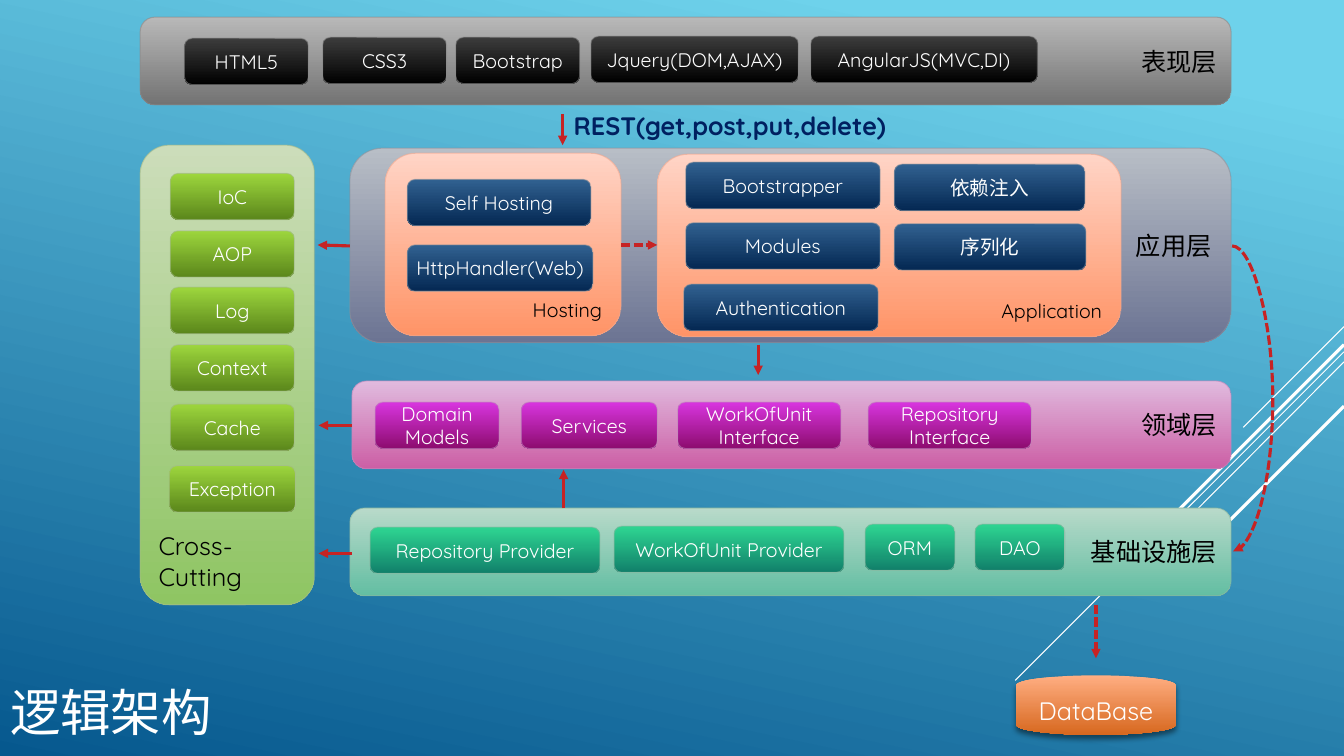
from dataclasses import dataclass
from typing import NamedTuple

from lxml.etree import SubElement
from pptx import Presentation
from pptx.dml.color import RGBColor
from pptx.enum.dml import MSO_LINE
from pptx.enum.shapes import MSO_CONNECTOR, MSO_SHAPE
from pptx.enum.text import MSO_ANCHOR, MSO_AUTO_SIZE, PP_ALIGN
from pptx.oxml.ns import qn
from pptx.util import Inches, Pt


class Tone(NamedTuple):
    top: str
    bottom: str
    edge: str = ""


@dataclass(frozen=True)
class Theme:
    font: str = "Quicksand"
    title: int = 36
    label: int = 18
    chip: int = 14
    thin: float = 0.75
    thick: float = 2.25
    white: str = "FFFFFF"
    black: str = "000000"
    navy: str = "002060"
    arrow: str = "C62324"
    sky: Tone = Tone("6ED2EB", "06588E")
    gray: Tone = Tone("B8B8B8", "737373", "898989")
    ink: Tone = Tone("3C3C3C", "000000", "898989")
    slate: Tone = Tone("B8BEC6", "6C7493", "89919C")
    blue: Tone = Tone("316190", "042853", "89919C")
    pink: Tone = Tone("E0BADE", "CC5FA5", "C089BD")
    magenta: Tone = Tone("D835DF", "8D0C6F", "C089BD")
    mint: Tone = Tone("B9DACA", "63BEA2", "8AB7A1")
    teal: Tone = Tone("2ED592", "11806A", "8AB7A1")
    sage: Tone = Tone("CCDDBA", "8FC563", "A4BB8B")
    lime: Tone = Tone("9DD63D", "5B871B", "A4BB8B")
    peach: Tone = Tone("FFD4C6", "FF9467", "EEA78F")
    orange: Tone = Tone("FFAE82", "D7681F")


T = Theme()
CHIP_HEIGHT = 0.46
CHIP_MARGINS = {"margin_left": Inches(0.04), "margin_right": Inches(0.04)}


class Box(NamedTuple):
    x: float
    y: float
    w: float
    h: float


class Chip(NamedTuple):
    text: str
    x: float
    y: float
    w: float = 1.23


class Panel(NamedTuple):
    text: str
    box: Box
    tone: Tone
    chip_tone: Tone
    chips: tuple[Chip, ...]
    size: int = T.label
    align: PP_ALIGN = PP_ALIGN.RIGHT
    anchor: MSO_ANCHOR = MSO_ANCHOR.MIDDLE


class Link(NamedTuple):
    x1: float
    y1: float
    x2: float
    y2: float
    dashed: bool = False
    bend: int = 0


class Ray(NamedTuple):
    x1: float
    y1: float
    x2: float
    y2: float
    width: float = T.thin


BANDS = (
    Panel("表现层", Box(1.39, 0.17, 10.82, 0.87), T.gray, T.ink, (
        Chip("HTML5", 1.83, 0.38), Chip("CSS3", 3.2, 0.37), Chip("Bootstrap", 4.52, 0.37),
        Chip("Jquery(DOM,AJAX)", 5.86, 0.36, 2.06), Chip("AngularJS(MVC,DI)", 8.04, 0.36, 2.25))),
    Panel("应用层", Box(3.47, 1.47, 8.74, 1.93), T.slate, T.blue, ()),
    Panel("领域层", Box(3.49, 3.78, 8.72, 0.87), T.pink, T.magenta, (
        Chip("Domain Models", 3.72, 3.99), Chip("Services", 5.17, 3.99, 1.35),
        Chip("WorkOfUnit Interface", 6.72, 3.99, 1.62),
        Chip("Repository Interface", 8.61, 3.99, 1.62))),
    Panel("基础设施层", Box(3.47, 5.04, 8.74, 0.87), T.mint, T.teal, (
        Chip("Repository Provider", 3.67, 5.23, 2.28), Chip("WorkOfUnit Provider", 6.09, 5.22, 2.28),
        Chip("ORM", 8.58, 5.2, 0.89), Chip("DAO", 9.67, 5.2, 0.89))),
    Panel("Cross-Cutting", Box(1.39, 1.44, 1.73, 4.56), T.sage, T.lime, (
        Chip("IoC", 1.69, 1.72), Chip("AOP", 1.69, 2.29), Chip("Log", 1.69, 2.85),
        Chip("Context", 1.69, 3.42), Chip("Cache", 1.69, 4.01), Chip("Exception", 1.68, 4.62, 1.25)),
        align=PP_ALIGN.LEFT, anchor=MSO_ANCHOR.BOTTOM),
)
MODULES = (
    Panel("Hosting", Box(3.82, 1.52, 2.34, 1.81), T.peach, T.blue, (
        Chip("Self Hosting", 4.04, 1.78, 1.82), Chip("HttpHandler(Web)", 4.04, 2.43, 1.84)),
        size=T.chip, anchor=MSO_ANCHOR.BOTTOM),
    Panel("Application", Box(6.52, 1.53, 4.6, 1.81), T.peach, T.blue, (
        Chip("Bootstrapper", 6.8, 1.61, 1.93), Chip("Modules", 6.8, 2.21, 1.93),
        Chip("Authentication", 6.78, 2.82, 1.93), Chip("依赖注入", 8.87, 1.63, 1.89),
        Chip("序列化", 8.87, 2.22, 1.9)),
        size=T.chip, anchor=MSO_ANCHOR.BOTTOM),
)
LINKS = (
    Link(5.58, 1.13, 5.58, 1.44), Link(7.52, 3.42, 7.52, 3.72), Link(5.59, 5.04, 5.59, 4.66),
    Link(3.47, 2.44, 3.15, 2.43), Link(3.49, 4.22, 3.16, 4.22), Link(3.49, 5.49, 3.16, 5.49),
    Link(6.16, 2.43, 6.52, 2.43, True), Link(10.87, 6, 10.87, 6.53, True),
    Link(12.22, 2.44, 12.23, 5.47, True, 4100000),
)
RAYS = (
    Ray(13.33, 3.24, 12.33, 4.24), Ray(13.33, 3.49, 10.07, 6.75), Ray(13.33, 3.59, 11.26, 5.67),
    Ray(13.33, 3.42, 11.42, 5.33, T.thick), Ray(13.33, 4.03, 11.94, 5.42, T.thick),
)


def apply(target, formats: dict) -> None:
    for name, value in formats.items():
        setattr(target, name, value)


def rgb(color: str) -> RGBColor:
    return RGBColor.from_string(color)


def paint(fill, tone: Tone, angle: int = 270, start: float = 0) -> None:
    fill.gradient()
    fill.gradient_angle = angle
    for stop, color, position in zip(fill.gradient_stops, tone, (start, 1)):
        stop.color.rgb = rgb(color)
        stop.position = position


def write(sp, text: str, size: int, color: str, align=PP_ALIGN.CENTER,
          anchor=MSO_ANCHOR.MIDDLE, bold: bool = False) -> None:
    tf = sp.text_frame
    apply(tf, {"word_wrap": True, "auto_size": MSO_AUTO_SIZE.NONE, "vertical_anchor": anchor})
    p = tf.paragraphs[0]
    p.alignment = align
    r = p.add_run()
    r.text = text
    apply(r.font, {"name": T.font, "size": Pt(size), "bold": bold})
    r.font.color.rgb = rgb(color)


def add_box(s, box: Box, tone: Tone, kind=MSO_SHAPE.ROUNDED_RECTANGLE):
    sp = s.shapes.add_shape(kind, *map(Inches, box))
    sp.shadow.inherit = False
    paint(sp.fill, tone)
    if tone.edge:
        sp.line.color.rgb = rgb(tone.edge)
        sp.line.width = Pt(T.thin)
        color = sp._element.spPr.find(qn("a:ln")).find(".//" + qn("a:srgbClr"))
        SubElement(color, qn("a:alpha"), val="60000")
    else:
        sp.line.fill.background()
    return sp


def add_panel(s, panel: Panel) -> None:
    write(add_box(s, panel.box, panel.tone), panel.text, panel.size, T.black, panel.align, panel.anchor)
    for chip in panel.chips:
        sp = add_box(s, Box(chip.x, chip.y, chip.w, CHIP_HEIGHT), panel.chip_tone)
        write(sp, chip.text, T.chip, T.white)
        apply(sp.text_frame, CHIP_MARGINS)


def add_line(s, ends: tuple, color: str, width: float, kind=MSO_CONNECTOR.STRAIGHT):
    c = s.shapes.add_connector(kind, *map(Inches, ends))
    c.line.color.rgb = rgb(color)
    c.line.width = Pt(width)
    SubElement(c._element.spPr, qn("a:effectLst"))
    return c


def add_link(s, link: Link) -> None:
    kind = MSO_CONNECTOR.CURVE if link.bend else MSO_CONNECTOR.STRAIGHT
    c = add_line(s, link[:4], T.arrow, T.thick, kind)
    if link.dashed:
        c.line.dash_style = MSO_LINE.SQUARE_DOT
    SubElement(c._element.spPr.find(qn("a:ln")), qn("a:tailEnd"), type="triangle")
    if link.bend:
        guides = c._element.spPr.find(".//" + qn("a:avLst"))
        SubElement(guides, qn("a:gd"), name="adj1", fmla=f"val {link.bend}")


def add_database(s) -> None:
    sp = add_box(s, Box(10.08, 6.7, 1.58, 0.59), T.orange, MSO_SHAPE.FLOWCHART_MAGNETIC_DISK)
    write(sp, "DataBase", T.label, T.white)
    effects = sp._element.spPr.find(qn("a:effectLst"))
    shadow = SubElement(effects, qn("a:outerShdw"), blurRad=str(Pt(4)), dist=str(Pt(3)),
                        dir="5400000", rotWithShape="0")
    color = SubElement(shadow, qn("a:srgbClr"), val=T.black)
    SubElement(color, qn("a:alpha"), val="46000")


def main() -> None:
    prs = Presentation()
    apply(prs, {"slide_width": Inches(13.33), "slide_height": Inches(7.5)})
    s = prs.slides.add_slide(prs.slide_layouts[5])
    paint(s.background.fill, T.sky, 258, 0.1)
    title = s.shapes.title
    apply(title, {"left": Inches(0), "top": Inches(6.23), "width": Inches(9.33), "height": Inches(1.65)})
    write(title, "逻辑架构", T.title, T.white, PP_ALIGN.LEFT)
    for ray in RAYS:
        add_line(s, ray[:4], T.white, ray.width)
    for band in BANDS:
        add_panel(s, band)
    rest = s.shapes.add_textbox(*map(Inches, Box(5.59, 1.05, 3.5, 0.4)))
    write(rest, "REST(get,post,put,delete)", T.label, T.navy, PP_ALIGN.LEFT, MSO_ANCHOR.TOP, True)
    for module in MODULES:
        add_panel(s, module)
    for link in LINKS:
        add_link(s, link)
    add_database(s)
    prs.save("out.pptx")


main()
